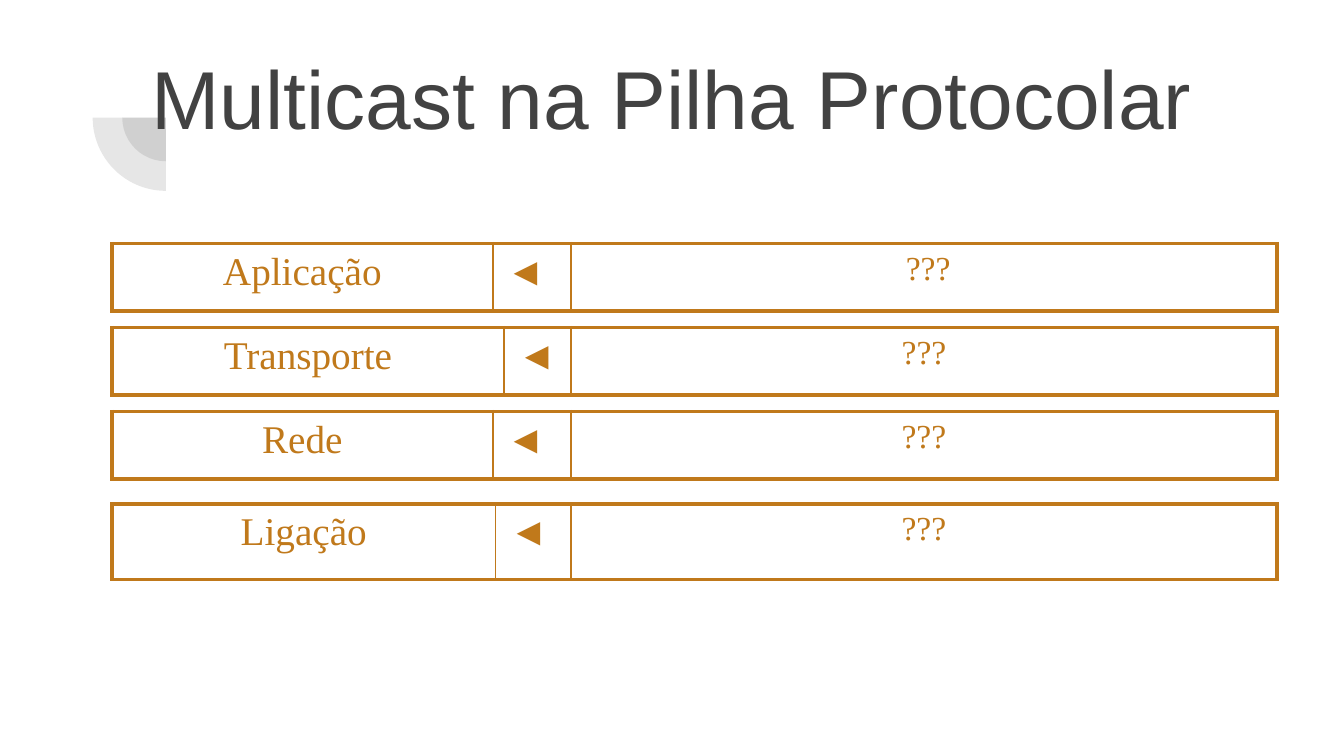
from lxml.etree import SubElement
from pptx import Presentation
from pptx.dml.color import RGBColor
from pptx.enum.shapes import MSO_SHAPE
from pptx.enum.text import MSO_ANCHOR, PP_ALIGN
from pptx.oxml.ns import qn
from pptx.util import Pt

# Content: layer, arrow, answer, top, height, layer column width
TITLE = "Multicast na Pilha Protocolar"
LAYERS = [
    ("Aplicação", "◄", " ???", 130.5, 36, 204),
    ("Transporte", "◄", "???", 175.5, 36, 210),
    ("Rede", "◄", "???", 220.5, 36, 204),
    ("Ligação", "◄", "???", 270, 40.5, 205.5),
]
THEME = {
    "dark": "424242", "accent": "C0791B", "alpha": 13,
    "title_font": "Arial", "body_font": "Times New Roman",
    "title_size": 44, "layer_size": 21, "answer_size": 18,
    "outer_line": 2.21, "inner_line": 0.96,
}
STACK_LEFT, STACK_WIDTH, ANSWER_WIDTH = 60, 624, 378
ARC_CENTER, ARC_DIAMETERS = (88.9, 63), (46.8, 78.5)


def style_text(paragraph, font, size, color, align):
    paragraph.alignment = align
    for run in paragraph.runs:
        run.font.name = font
        run.font.size = Pt(size)
        run.font.color.rgb = RGBColor.from_string(color)


def add_arc(slide, diameter):
    left, top = (c - diameter / 2 for c in ARC_CENTER)
    arc = slide.shapes.add_shape(MSO_SHAPE.PIE, Pt(left), Pt(top), Pt(diameter), Pt(diameter))
    arc.adjustments[0], arc.adjustments[1] = 108, 162  # quarter turn: 180 to 270 degrees
    arc.rotation = 270
    arc.shadow.inherit = False
    arc.line.fill.background()
    arc.fill.solid()
    arc.fill.fore_color.rgb = RGBColor.from_string(THEME["dark"])
    color = arc.fill._xPr.find(".//" + qn("a:srgbClr"))
    SubElement(color, qn("a:alpha"), val=str(THEME["alpha"] * 1000))


def set_borders(cell, widths):
    properties = cell._tc.get_or_add_tcPr()
    for side, width in widths.items():
        line = SubElement(properties, qn("a:ln" + side), w=str(Pt(width)))
        fill = SubElement(line, qn("a:solidFill"))
        SubElement(fill, qn("a:srgbClr"), val=THEME["accent"])


def add_layer(slide, layer, arrow, answer, top, height, layer_width):
    table = slide.shapes.add_table(
        1, 3, Pt(STACK_LEFT), Pt(top), Pt(STACK_WIDTH), Pt(height)).table
    table.first_row = table.horz_banding = False
    widths = (layer_width, STACK_WIDTH - ANSWER_WIDTH - layer_width, ANSWER_WIDTH)
    sizes = (THEME["layer_size"], THEME["layer_size"], THEME["answer_size"])
    aligns = (PP_ALIGN.CENTER, PP_ALIGN.LEFT, PP_ALIGN.CENTER)
    outer, inner = THEME["outer_line"], THEME["inner_line"]
    for i, text in enumerate((layer, arrow, answer)):
        table.columns[i].width = Pt(widths[i])
        cell = table.cell(0, i)
        cell.text_frame.text = text
        style_text(cell.text_frame.paragraphs[0], THEME["body_font"],
                   sizes[i], THEME["accent"], aligns[i])
        set_borders(cell, {"L": outer if i == 0 else inner,
                           "R": outer if i == 2 else inner,
                           "T": outer, "B": outer})
        cell.fill.background()


def main():
    prs = Presentation()
    prs.slide_width, prs.slide_height = Pt(720), Pt(405)
    slide = prs.slides.add_slide(prs.slide_layouts[6])

    # Corner decoration
    for diameter in ARC_DIAMETERS:
        add_arc(slide, diameter)

    # Title
    title = slide.shapes.add_textbox(Pt(54), Pt(18), Pt(612), Pt(67.5)).text_frame
    title.word_wrap = True
    title.vertical_anchor = MSO_ANCHOR.MIDDLE
    title.text = TITLE
    style_text(title.paragraphs[0], THEME["title_font"], THEME["title_size"],
               THEME["dark"], PP_ALIGN.CENTER)

    # Protocol stack
    for layer in LAYERS:
        add_layer(slide, *layer)

    prs.save("out.pptx")


if __name__ == "__main__":
    main()
